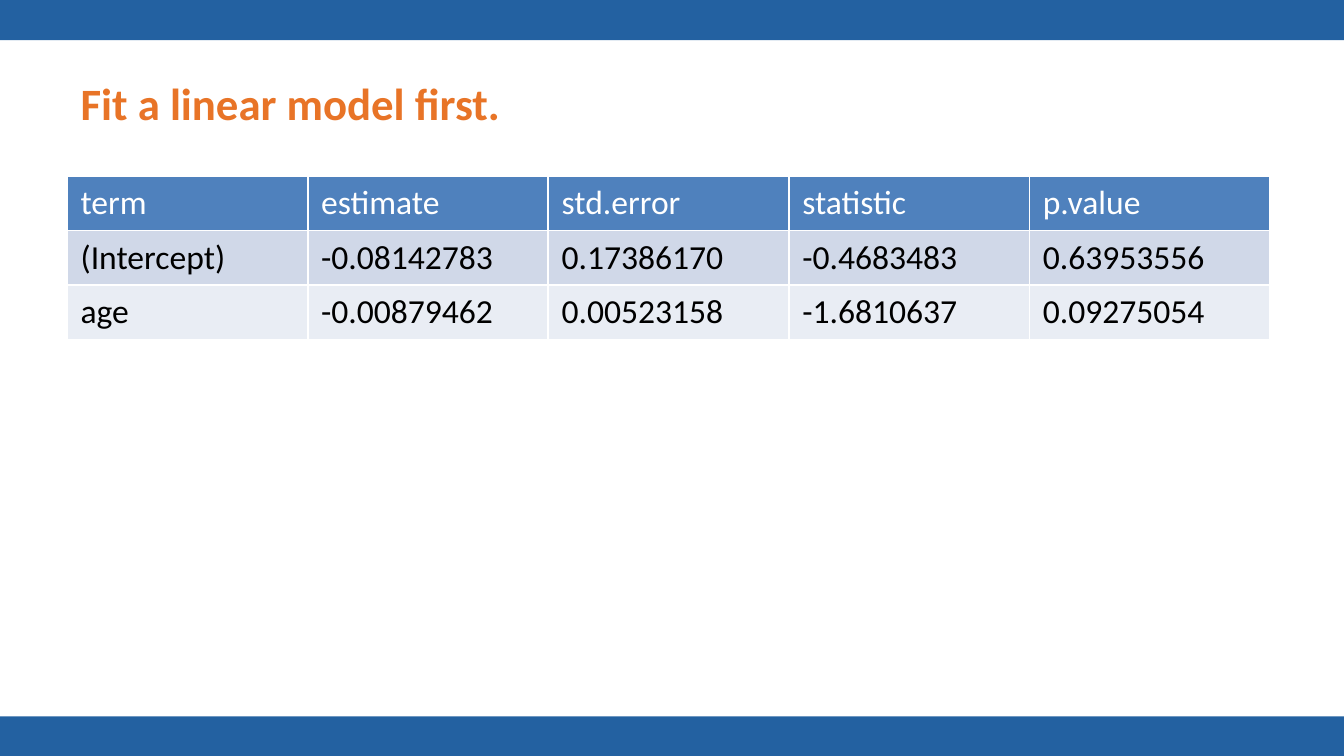
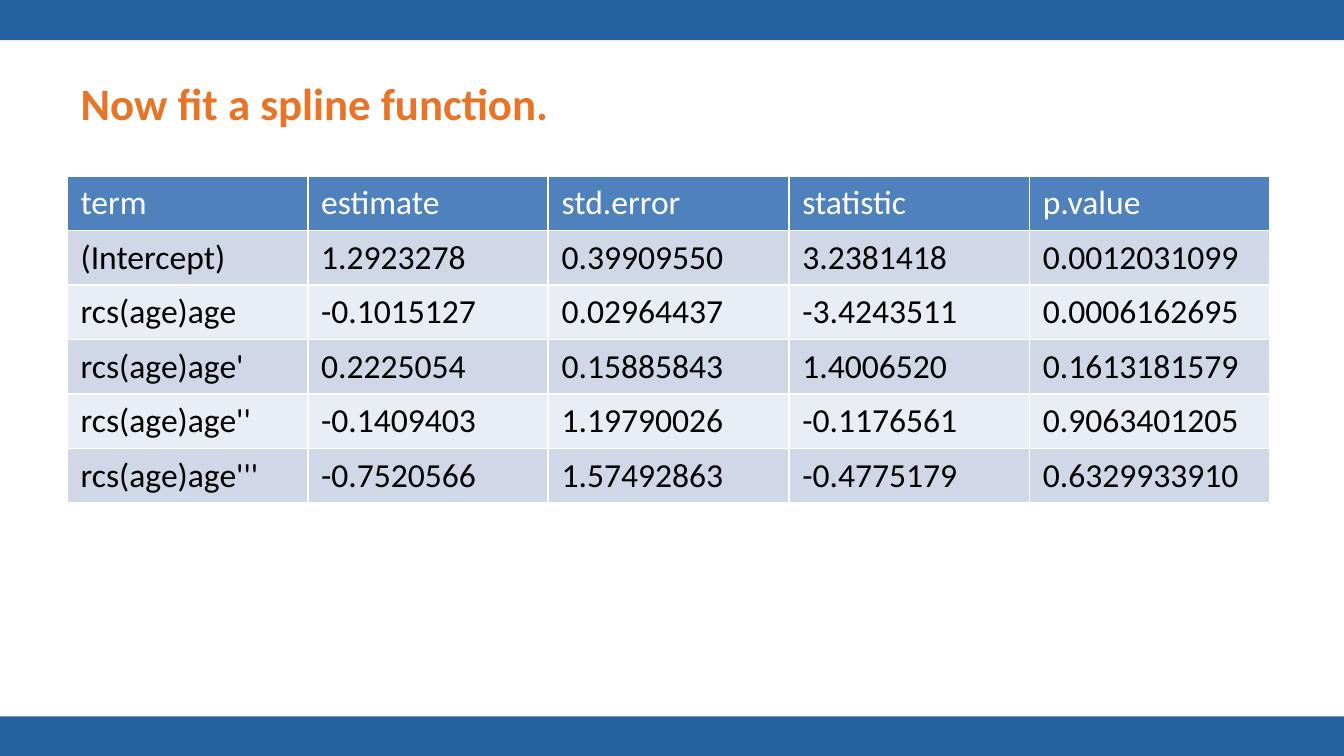
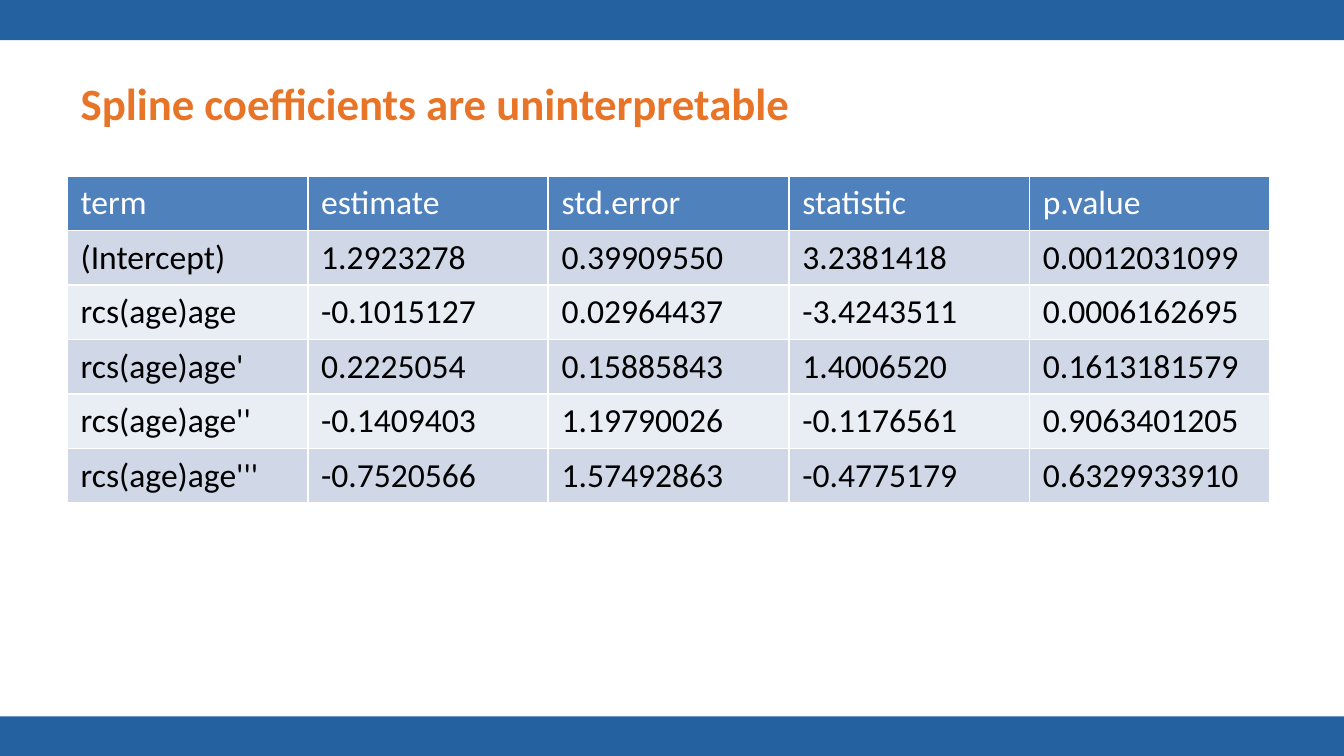
from lxml.etree import SubElement as Sub
from pptx import Presentation
from pptx.dml.color import RGBColor as Rgb
from pptx.enum.shapes import MSO_SHAPE as Shape
from pptx.enum.text import MSO_ANCHOR as Anchor, PP_ALIGN as Align
from pptx.oxml.ns import qn
from pptx.util import Inches, Pt

HEAD = ("term", "estimate", "std.error", "statistic", "p.value")
LINEAR = [
    ("(Intercept)", "-0.08142783", "0.17386170", "-0.4683483", "0.63953556"),
    ("age", "-0.00879462", "0.00523158", "-1.6810637", "0.09275054"),
]
SPLINE = [
    ("(Intercept)", "1.2923278", "0.39909550", "3.2381418", "0.0012031099"),
    ("rcs(age)age", "-0.1015127", "0.02964437", "-3.4243511", "0.0006162695"),
    ("rcs(age)age'", "0.2225054", "0.15885843", "1.4006520", "0.1613181579"),
    ("rcs(age)age''", "-0.1409403", "1.19790026", "-0.1176561", "0.9063401205"),
    ("rcs(age)age'''", "-0.7520566", "1.57492863", "-0.4775179", "0.6329933910"),
]
SLIDES = [
    ("Fit a linear model first.", LINEAR),
    ("Now fit a spline function.", SPLINE),
    ("Spline coefficients are uninterpretable", SPLINE),
]

FONT = "Calibri"
BLUE, ORANGE, WHITE, BLACK = "2361A1", "E87427", "FFFFFF", "000000"
TOP, ODD, EVEN = "4F81BD", "D0D8E8", "E9EDF4"
WIDE, BAND = 10, 0.3
HIGH = WIDE * 9 / 16
LEFT, COL, ROW = 0.5, 1.79, 0.4


def paint(fill, tint):
    fill.solid()
    fill.fore_color.rgb = Rgb.from_string(tint)


def write(frame, text, size=18, tint=BLACK, bold=False):
    para = frame.paragraphs[0]
    para.alignment = Align.LEFT
    run = para.add_run()
    run.text = text
    font = run.font
    font.name, font.size, font.bold = FONT, Pt(size), bold
    font.color.rgb = Rgb.from_string(tint)


def edge(cell):
    props = cell._tc.get_or_add_tcPr()
    for side in "LRTB":
        line = Sub(props, qn(f"a:ln{side}"), w=str(Pt(1)))
        Sub(Sub(line, qn("a:solidFill")), qn("a:srgbClr"), val=WHITE)


def add_grid(slide, rows):
    data = [HEAD, *rows]
    grid = slide.shapes.add_table(
        len(data), len(HEAD), Inches(LEFT), Inches(1.31),
        Inches(COL * len(HEAD)), Inches(ROW * len(data))).table
    for r, row in enumerate(data):
        for c, text in enumerate(row):
            cell = grid.cell(r, c)
            edge(cell)
            paint(cell.fill, (ODD if r % 2 else EVEN) if r else TOP)
            write(cell.text_frame, text, tint=BLACK if r else WHITE)


def add_bands(slide, master):
    for i, y in enumerate((0, 5.33)):
        band = slide.shapes.add_shape(
            Shape.RECTANGLE, 0, Inches(y), Inches(WIDE), Inches(BAND))
        band.shadow.inherit = False
        paint(band.fill, BLUE)
        band.line.fill.background()
        band.element.nvSpPr.cNvPr.set("id", str(20 + i))
        master.shapes.element.insert(2 + i, band.element)


def main():
    prs = Presentation()
    prs.slide_width, prs.slide_height = Inches(WIDE), Inches(HIGH)
    paint(prs.slide_master.background.fill, WHITE)
    layout = prs.slide_layouts[5]
    for i, (text, rows) in enumerate(SLIDES):
        slide = prs.slides.add_slide(layout)
        if i == 0:
            add_bands(slide, prs.slide_master)
        title = slide.shapes.title
        title.left, title.top = Inches(LEFT), Inches(0.29)
        title.width, title.height = Inches(9), Inches(0.94)
        title.text_frame.vertical_anchor = Anchor.MIDDLE
        write(title.text_frame, text, size=24, tint=ORANGE, bold=True)
        add_grid(slide, rows)
    prs.save("out.pptx")


if __name__ == "__main__":
    main()
